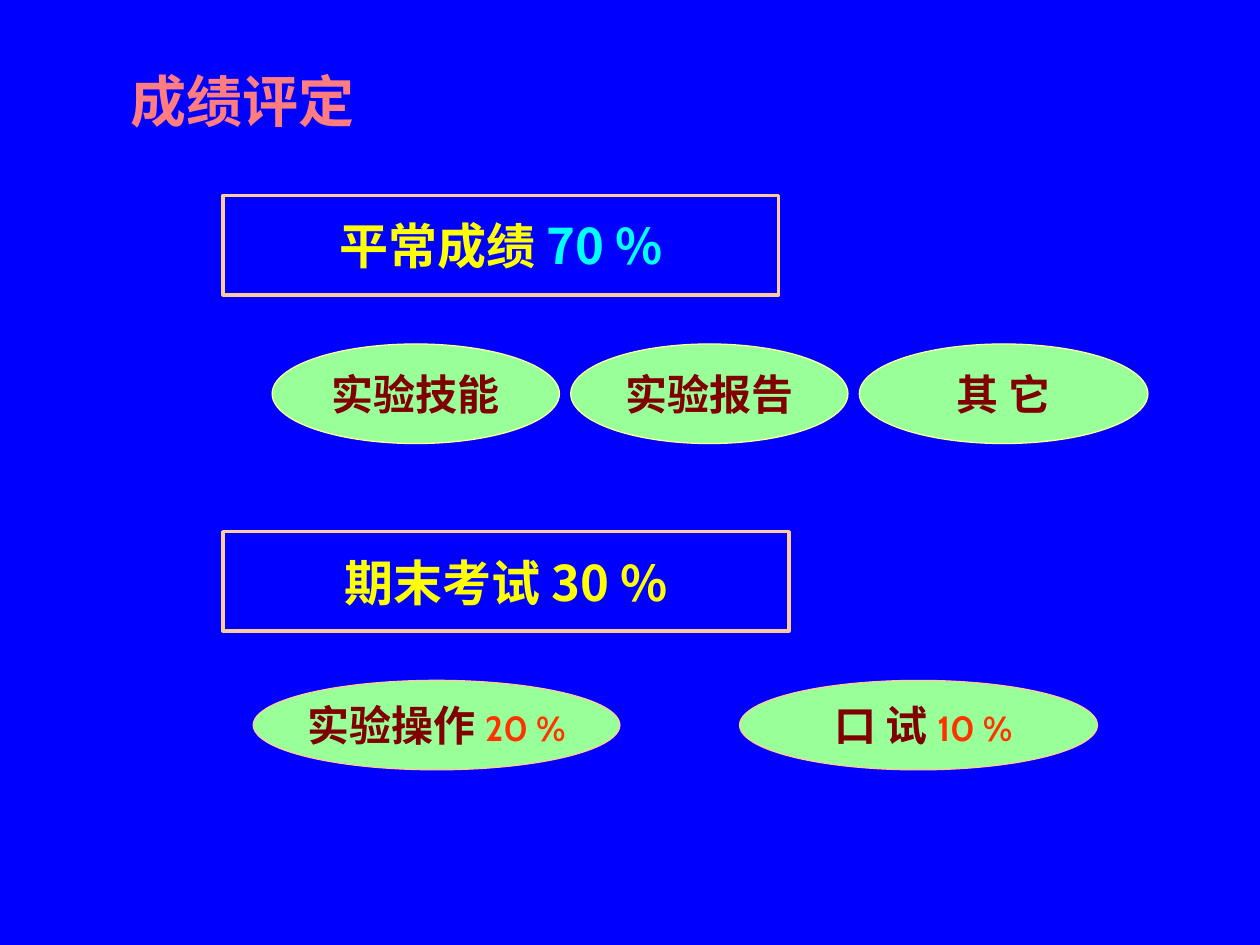
"""Build the slide on how the course grade is made up."""
from dataclasses import dataclass

from lxml import etree
from pptx import Presentation
from pptx import util as u
from pptx.dml.color import RGBColor
from pptx.enum import shapes, text
from pptx.oxml.ns import qn


@dataclass(frozen=True)
class Theme:
    background: str = "0000FF"
    title: str = "FF7C80"
    heading: str = "FFFF00"
    accent: str = "00FFFF"
    oval: str = "99FF99"
    label: str = "800000"
    share: str = "FF3300"
    border: str = "FFCC99"
    pale_border: str = "FFFF99"
    latin: str = "Arial"
    asian: str = "Noto Sans CJK SC"
    figures: str = "Cabin"
    title_size: int = 32
    heading_size: int = 28
    label_size: int = 24
    share_size: int = 20


THEME = Theme()
HEADING = (THEME.heading_size, THEME.asian, THEME.heading)
ACCENT = (THEME.heading_size, THEME.asian, THEME.accent)
LABEL = (THEME.label_size, THEME.latin, THEME.label)
EXAM_LABEL = (THEME.label_size, THEME.asian, THEME.label)
SHARE = (THEME.share_size, THEME.figures, THEME.share)

TITLE = [("成绩评定", (THEME.title_size, THEME.latin, THEME.title))]
TITLE_BOX = (0.35, 0.36, 3.15, 0.87)
HEADING_LEFT, HEADING_HEIGHT = 1.77, 0.79
SECTIONS = [
    {
        "heading": [("平常成绩 ", HEADING), ("70 %", ACCENT)],
        "top": 1.55, "width": 4.41,
        "left": 2.16, "gap": 0.09, "oval_top": 2.73, "oval_height": 0.79,
        "border": THEME.pale_border,
        "ovals": [
            (2.28, [("实验技能", LABEL)]),
            (2.2, [("实验报告", LABEL)]),
            (2.29, [("其 它", LABEL)]),
        ],
    },
    {
        "heading": [("期末考试 30 %", HEADING)],
        "top": 4.22, "width": 4.49,
        "left": 2.01, "gap": 0.95, "oval_top": 5.4, "oval_height": 0.71,
        "border": THEME.border,
        "ovals": [
            (2.91, [("实验操作 ", EXAM_LABEL), ("20 %", SHARE)]),
            (2.84, [(" 口 试 ", EXAM_LABEL), ("10 %", SHARE)]),
        ],
    },
]


def write(shape, runs):
    frame = shape.text_frame
    frame.word_wrap = False
    frame.auto_size = text.MSO_AUTO_SIZE.NONE
    frame.vertical_anchor = text.MSO_ANCHOR.MIDDLE
    paragraph = frame.paragraphs[0]
    paragraph.alignment = text.PP_ALIGN.CENTER
    for words, (size, face, color) in runs:
        run = paragraph.add_run()
        run.text = words
        run.font.size = u.Pt(size)
        run.font.bold = True
        run.font.name = face
        run.font.color.rgb = RGBColor.from_string(color)
        asian = etree.SubElement(run.font._element, qn("a:ea"))
        asian.set("typeface", THEME.asian)


def add_box(slide, kind, box, fill, border, weight, runs):
    shape = slide.shapes.add_shape(kind, *map(u.Inches, box))
    shape.shadow.inherit = False
    shape.fill.solid()
    shape.fill.fore_color.rgb = RGBColor.from_string(fill)
    shape.line.color.rgb = RGBColor.from_string(border)
    shape.line.width = u.Pt(weight)
    write(shape, runs)


def add_section(slide, section):
    box = (HEADING_LEFT, section["top"], section["width"], HEADING_HEIGHT)
    add_box(slide, shapes.MSO_SHAPE.RECTANGLE, box, THEME.background,
            THEME.border, 2, section["heading"])
    left = section["left"]
    for width, runs in section["ovals"]:
        box = (left, section["oval_top"], width, section["oval_height"])
        add_box(slide, shapes.MSO_SHAPE.OVAL, box, THEME.oval,
                section["border"], 0.75, runs)
        left += width + section["gap"]


def main():
    presentation = Presentation()
    presentation.slide_width, presentation.slide_height = u.Inches(10), u.Inches(7.5)
    slide = presentation.slides.add_slide(presentation.slide_layouts[5])
    slide.background.fill.solid()
    slide.background.fill.fore_color.rgb = RGBColor.from_string(THEME.background)
    title = slide.shapes.title
    title.left, title.top, title.width, title.height = map(u.Inches, TITLE_BOX)
    write(title, TITLE)
    for section in SECTIONS:
        add_section(slide, section)
    presentation.save("out.pptx")


if __name__ == "__main__":
    main()
